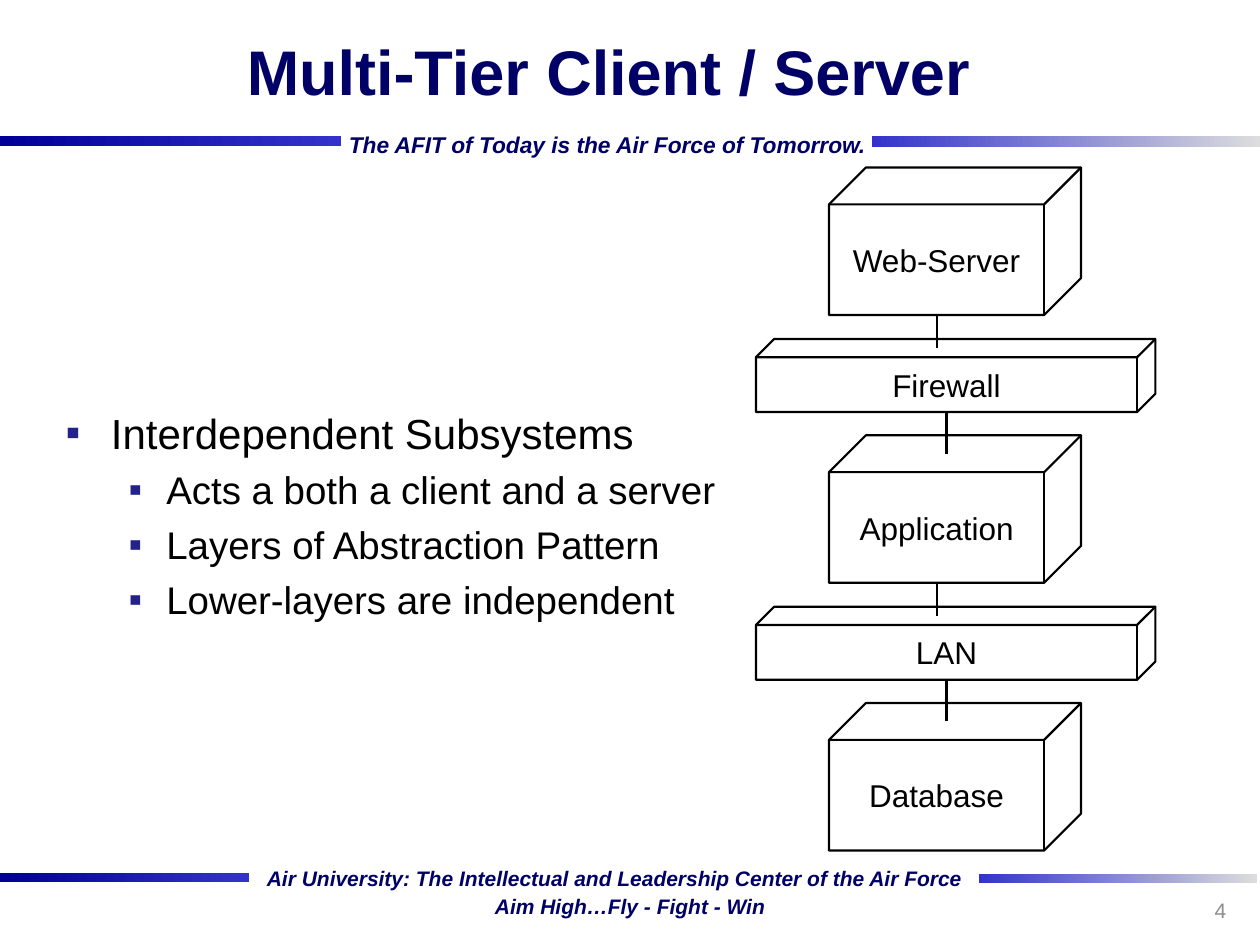
from itertools import pairwise

from lxml.etree import SubElement
from pptx import Presentation
from pptx.dml.color import RGBColor
from pptx.enum.shapes import MSO_CONNECTOR, MSO_SHAPE
from pptx.enum.text import MSO_ANCHOR, MSO_AUTO_SIZE, PP_ALIGN
from pptx.oxml.ns import qn
from pptx.util import Inches, Pt

BLACK = RGBColor(0x00, 0x00, 0x00)
NAVY = RGBColor(0x00, 0x00, 0x66)
DEEP = RGBColor(0x00, 0x00, 0x99)
BLUE = RGBColor(0x33, 0x33, 0xCC)
SILVER = RGBColor(0xDD, 0xDD, 0xDD)
GRAY = RGBColor(0x8C, 0x8C, 0x8C)
BULLET = RGBColor(0x22, 0x22, 0x8B)

TITLE = "Multi-Tier Client / Server"
POINTS = [
    ("Interdependent Subsystems", 0),
    ("Acts a both a client and a server", 1),
    ("Layers of Abstraction Pattern", 1),
    ("Lower-layers are independent", 1),
]
LEVELS = [(24, 0.36, 0.36), (22, 0.8, 0.3)]
TIERS = ["Web-Server", "Firewall", "Application", "LAN", "Database"]
RULES = [
    (0, 6.93, 1.98, 0.07, DEEP, BLUE),
    (7.77, 6.94, 2.21, 0.07, BLUE, SILVER),
    (6.92, 1.08, 3.08, 0.09, BLUE, SILVER),
    (0, 1.08, 2.71, 0.08, DEEP, BLUE),
]
MOTTOS = [
    ("Air University: The Intellectual and Leadership Center of the Air Force", 2.02, 6.82, 5.76, 0.29, 12),
    ("Aim High…Fly - Fight - Win", 3.83, 7.04, 2.36, 0.29, 12),
    ("The AFIT of Today is the Air Force of Tomorrow.", 2.67, 0.99, 4.35, 0.31, 13),
]
NUMBER = "4"
STACK_TOP, PAIR_PITCH, BAR_OFFSET = 1.33, 2.125, 1.36
BLOCK, BAR = (6.58, 2, 1.17), (6, 3.17, 0.58)
DEPTH_SHARE = 0.25


def style(para, size, color, bold=False, italic=False):
    font = para.font
    font.name, font.size, font.bold, font.italic = "Arial", Pt(size), bold, italic
    font.color.rgb = color


def place(shape, left, top, width, height):
    shape.left, shape.top = Inches(left), Inches(top)
    shape.width, shape.height = Inches(width), Inches(height)


def add_rule(page, left, top, width, height, start, end):
    rule = page.shapes.add_shape(MSO_SHAPE.RECTANGLE, *map(Inches, (left, top, width, height)))
    rule.shadow.inherit = False
    rule.line.fill.background()
    rule.fill.gradient()
    rule.fill.gradient_angle = 0
    for stop, color in zip(rule.fill.gradient_stops, (start, end)):
        stop.color.rgb = color


def add_label(page, text, left, top, width, height):
    frame = page.shapes.add_textbox(*map(Inches, (left, top, width, height))).text_frame
    frame.text = text
    return frame


def add_bullet(para, indent, hanging):
    props = para._p.get_or_add_pPr()
    props.set("marL", str(Inches(indent)))
    props.set("indent", str(-Inches(hanging)))
    SubElement(SubElement(props, qn("a:buClr")), qn("a:srgbClr")).set("val", str(BULLET))
    SubElement(props, qn("a:buFont")).set("typeface", "Arial")
    SubElement(props, qn("a:buChar")).set("char", "▪")


def fill_body(body):
    frame = body.text_frame
    frame.auto_size = MSO_AUTO_SIZE.NONE
    frame.vertical_anchor = MSO_ANCHOR.MIDDLE
    for index, (text, level) in enumerate(POINTS):
        para = frame.add_paragraph() if index else frame.paragraphs[0]
        size, indent, hanging = LEVELS[level]
        para.text, para.level = text, level
        add_bullet(para, indent, hanging)
        para.space_before = Pt(5 if index else 0)
        style(para, size, BLACK)


def add_tier(page, text, left, top, width, height):
    tier = page.shapes.add_shape(MSO_SHAPE.CUBE, *map(Inches, (left, top, width, height)))
    tier.adjustments[0] = DEPTH_SHARE
    tier.shadow.inherit = False
    tier.fill.background()
    tier.line.color.rgb, tier.line.width = BLACK, Pt(1.25)
    frame = tier.text_frame
    frame.text, frame.word_wrap = text, False
    frame.vertical_anchor = MSO_ANCHOR.MIDDLE
    frame.paragraphs[0].alignment = PP_ALIGN.CENTER
    style(frame.paragraphs[0], 18, BLACK)


def add_link(page, x, start, end):
    link = page.shapes.add_connector(MSO_CONNECTOR.STRAIGHT, *map(Inches, (x, start, x, end)))
    link.line.color.rgb, link.line.width = BLACK, Pt(1.25)
    SubElement(link._element.spPr, qn("a:effectLst"))


def add_stack(page):
    spots = []
    for index, text in enumerate(TIERS):
        pair, is_bar = divmod(index, 2)
        left, width, height = BAR if is_bar else BLOCK
        top = STACK_TOP + pair * PAIR_PITCH + is_bar * BAR_OFFSET
        spots.append((left, top, width, height))
        add_tier(page, text, *spots[-1])
    for (left, top, width, height), (_, next_top, _, next_height) in pairwise(spots):
        front_middle = left + (width - height * DEPTH_SHARE) / 2
        add_link(page, front_middle, top + height, next_top + next_height * DEPTH_SHARE / 2)


def main():
    """Build the multi-tier client and server slide."""
    deck = Presentation()
    deck.slide_width, deck.slide_height = Inches(10), Inches(7.5)
    page = deck.slides.add_slide(deck.slide_layouts[1])

    for rule in RULES:
        add_rule(page, *rule)
    for text, left, top, width, height, size in MOTTOS:
        frame = add_label(page, text, left, top, width, height)
        frame.word_wrap = False
        style(frame.paragraphs[0], size, NAVY, True, True)

    title, body = page.placeholders
    place(title, 0.58, 0, 8.5, 1.12)
    title.text_frame.text = TITLE
    title.text_frame.auto_size = MSO_AUTO_SIZE.NONE
    title.text_frame.vertical_anchor = MSO_ANCHOR.MIDDLE
    title.text_frame.paragraphs[0].alignment = PP_ALIGN.CENTER
    style(title.text_frame.paragraphs[0], 36, NAVY, True)
    place(body, 0.42, 1.42, 5.67, 5.33)
    fill_body(body)

    number = add_label(page, NUMBER, 7.5, 7.02, 2.33, 0.4)
    number.word_wrap = True
    number.vertical_anchor = MSO_ANCHOR.MIDDLE
    number.paragraphs[0].alignment = PP_ALIGN.RIGHT
    style(number.paragraphs[0], 12, GRAY)

    add_stack(page)
    deck.save("out.pptx")


if __name__ == "__main__":
    main()
